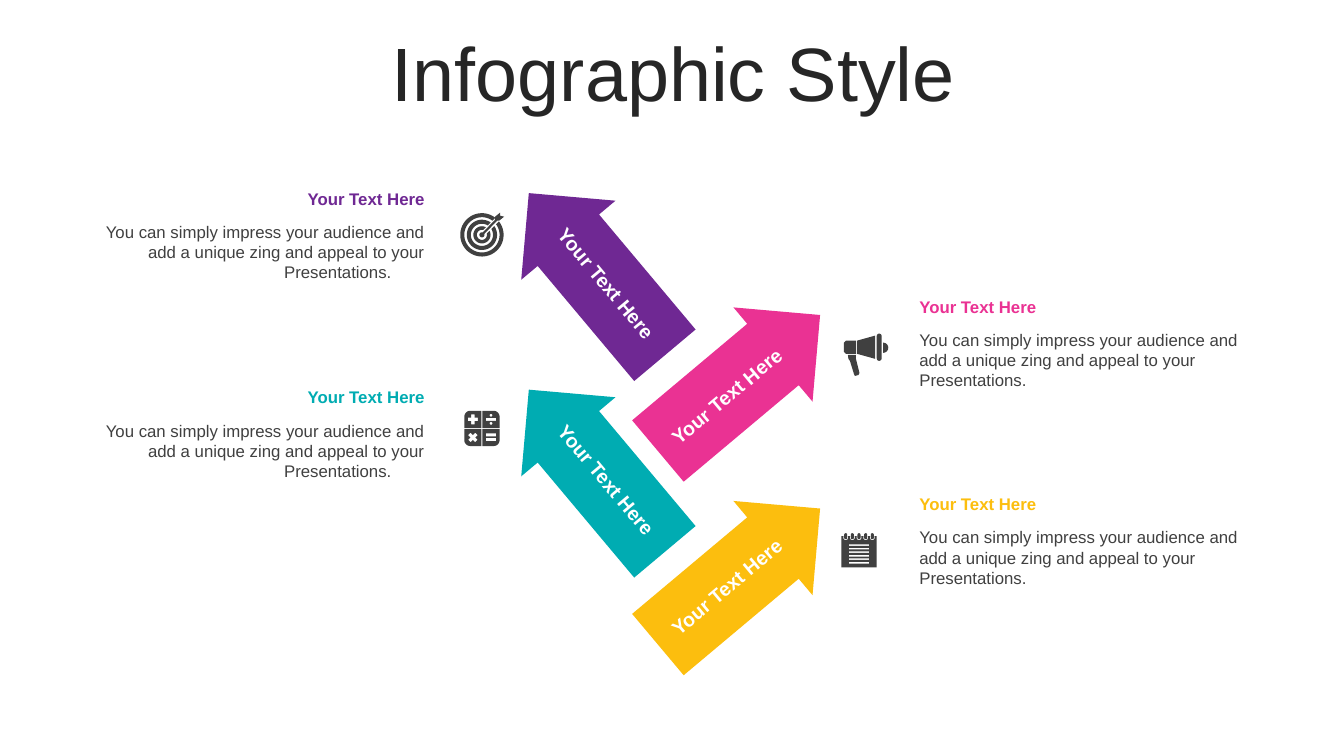
import math

import pptx
import pptx.dml.color
import pptx.enum.shapes
import pptx.enum.text
import pptx.util

ALIGN = pptx.enum.text.PP_ALIGN
ANCHOR = pptx.enum.text.MSO_ANCHOR
AUTO_SIZE = pptx.enum.text.MSO_AUTO_SIZE

# The grid has square cells: 13.33 columns by 7.5 rows
COLUMNS, ROWS = 13.33, 7.5
DARK, GREY, WHITE = "262626", "404040", "FFFFFF"
HEADING = "Your Text Here"
BODY_START = "You can simply impress your audience and add a unique zing and appeal to your"
BODY_END = "Presentations."

# What differs between the two sides of the slide
SIDES = {
    "left": {"arrow": 4.87, "turn": 230, "label": 5.23, "label_turn": 50,
             "caption": 0.74, "align": ALIGN.RIGHT},
    "right": {"arrow": 6.28, "turn": 320, "label": 6.43, "label_turn": 320,
              "caption": 9.02, "align": ALIGN.LEFT},
}


def cells(count):
    return pptx.util.Inches(count)


def color(hex_string):
    return pptx.dml.color.RGBColor.from_string(hex_string)


def set_all(target, values):
    for name, value in values.items():
        setattr(target, name, value)


def paint(shape, fill):
    shape.shadow.inherit = False
    shape.fill.solid()
    shape.fill.fore_color.rgb = color(fill)
    shape.line.fill.background()


def add_text(slide, box, paragraphs, size, fill, bold=False, align=ALIGN.LEFT, turn=0):
    shape = slide.shapes.add_textbox(*map(cells, box))
    shape.rotation = turn
    frame = shape.text_frame
    set_all(frame, {"word_wrap": True, "auto_size": AUTO_SIZE.SHAPE_TO_FIT_TEXT})
    for index, text in enumerate(paragraphs):
        paragraph = frame.add_paragraph() if index else frame.paragraphs[0]
        paragraph.alignment = align
        run = paragraph.add_run()
        run.text = text
        set_all(run.font, {"name": "Arial", "size": pptx.util.Pt(size), "bold": bold})
        run.font.color.rgb = color(fill)
    return shape


def add_title(slide, text):
    shape = add_text(slide, (0.35, 0.37, 12.66, 0.79), [text], 54, DARK, align=ALIGN.CENTER)
    set_all(shape.text_frame, {"vertical_anchor": ANCHOR.MIDDLE, "auto_size": AUTO_SIZE.NONE})
    shape.text_frame.paragraphs[0].line_spacing = 0.9


def add_arrow(slide, side, top, label_top, fill):
    arrow = slide.shapes.add_shape(
        pptx.enum.shapes.MSO_SHAPE.RIGHT_ARROW,
        *map(cells, (side["arrow"], top, 2.1, 1.22)))
    arrow.adjustments[0], arrow.adjustments[1] = 0.651, 0.5
    arrow.rotation = side["turn"]
    paint(arrow, fill)
    add_text(slide, (side["label"], label_top, 1.56, 0.34), [HEADING], 14, WHITE,
             True, side["align"], side["label_turn"])


def add_caption(slide, side, top, fill):
    left, align = side["caption"], side["align"]
    add_text(slide, (left, top, 3.57, 0.3), [HEADING], 12, fill, True, align)
    body_box = (left, top + 0.33, 3.57, 0.71)
    if align == ALIGN.LEFT:
        add_text(slide, body_box, [f"{BODY_START} {BODY_END}"], 12, GREY)
        return
    # The last line stops short of the right edge
    body = add_text(slide, body_box, [BODY_START, BODY_END], 12, GREY, align=align)
    last_line = body.text_frame.paragraphs[1]
    last_line.alignment = ALIGN.LEFT
    last_line._p.get_or_add_pPr().set("marL", str(cells(1.98)))


# Outlines for icons, in cells around the icon's centre
def rectangle(left, top, width, height):
    right, bottom = left + width, top + height
    return [(left, top), (right, top), (right, bottom), (left, bottom)]


def arc(x, y, radius, start=0, end=360, steps=36):
    angles = [math.radians(start + (end - start) * i / steps) for i in range(steps + 1)]
    return [(x + radius * math.cos(a), y + radius * math.sin(a)) for a in angles]


def capsule(x, top, bottom, radius):
    return (arc(x, top + radius, radius, 180, 360, 12)
            + arc(x, bottom - radius, radius, 0, 180, 12))


def open_ring(outer, inner, gap=0.025):
    """Ring with a slit of half-width gap towards the upper right."""
    def edge(radius):
        slit = math.degrees(math.asin(gap / radius))
        return arc(0, 0, radius, slit - 45, 315 - slit, 60)
    return edge(outer) + edge(inner)[::-1]


def cross(x, y, turn):
    arm, half = 0.05, 0.017
    quarter = [(arm, -half), (arm, half), (half, half)]
    points = []
    for step in range(4):
        a = math.radians(turn + 90 * step)
        points += [(x + px * math.cos(a) - py * math.sin(a),
                    y + px * math.sin(a) + py * math.cos(a)) for px, py in quarter]
    return points


def target_icon():
    rings = [open_ring(*radii) for radii in ((0.215, 0.175), (0.15, 0.11), (0.085, 0.05))]
    dart = arc(0, 0, 0.025, -20, 290) + [
        (0.13, -0.15), (0.13, -0.18), (0.18, -0.22), (0.18, -0.19),
        (0.22, -0.18), (0.17, -0.14), (0.15, -0.14)]
    return rings + [dart]


def megaphone_icon():
    handle = [(-0.18, 0), (-0.1, 0), (-0.1, 0.04), (-0.065, 0.18), (-0.075, 0.2),
              (-0.11, 0.21), (-0.12, 0.19), (-0.16, 0.06), (-0.175, 0.04)]
    grip = [(-0.2, -0.14), (-0.1, -0.14), (-0.1, -0.01), (-0.2, -0.01),
            (-0.22, -0.03), (-0.22, -0.12)]
    horn = [(0.09, -0.19), (0.09, 0.04), (-0.09, -0.01), (-0.09, -0.14)]
    return [handle, grip, horn, capsule(0.13, -0.21, 0.06, 0.024),
            arc(0.17, -0.07, 0.05, -90, 90)]


def calculator_icon():
    tile = [(0.005, 0.175), (0.005, 0.005), (0.175, 0.005)] + arc(0.115, 0.115, 0.06, 0, 90, 12)
    tiles = [[(x * sx, y * sy) for x, y in tile] for sx in (-1, 1) for sy in (-1, 1)]
    bars = [rectangle(0.04, y, 0.1, 0.03) for y in (-0.105, 0.05, 0.095)]
    dots = [arc(0.09, y, 0.014) for y in (-0.13, -0.05)]
    return tiles + bars + dots + [cross(-0.09, -0.09, 0), cross(-0.09, 0.09, 45)]


def notepad_icon():
    contours = [rectangle(-0.175, -0.14, 0.35, 0.31)]
    contours += [rectangle(-0.1, -0.06 + 0.035 * i, 0.2, 0.016) for i in range(6)]
    for i in range(5):
        x = -0.132 + 0.066 * i
        slot = [(x - 0.024, -0.14), (x + 0.024, -0.14)] + arc(x, -0.125, 0.024, 0, 180, 12)
        contours += [slot, capsule(x, -0.17, -0.11, 0.015)]
    return contours


def add_icon(slide, center, contours):
    builder = None
    for contour in contours:
        points = [(cells(center[0] + x), cells(center[1] + y)) for x, y in contour]
        if builder is None:
            builder = slide.shapes.build_freeform(*points[0])
        else:
            builder.move_to(*points[0])
        builder.add_line_segments(points[1:], close=True)
    paint(builder.convert_to_shape(), GREY)


def main():
    presentation = pptx.Presentation()
    set_all(presentation, {"slide_width": cells(COLUMNS), "slide_height": cells(ROWS)})
    slide = presentation.slides.add_slide(presentation.slide_layouts[6])
    add_title(slide, "Infographic Style")

    # side, colour, tops of arrow, label and caption, icon centre, icon
    steps = [
        ("left", "6F2893", 2.11, 2.64, 1.82, (4.78, 2.33), target_icon),
        ("right", "EA3293", 3.19, 3.76, 2.89, (8.59, 3.52), megaphone_icon),
        ("left", "00ACB2", 4.06, 4.59, 3.79, (4.78, 4.25), calculator_icon),
        ("right", "FCBE0E", 5.11, 5.65, 4.85, (8.52, 5.46), notepad_icon),
    ]
    for side_name, fill, arrow_top, label_top, caption_top, center, icon in steps:
        side = SIDES[side_name]
        add_arrow(slide, side, arrow_top, label_top, fill)
        add_caption(slide, side, caption_top, fill)
        add_icon(slide, center, icon())
    presentation.save("out.pptx")


if __name__ == "__main__":
    main()
